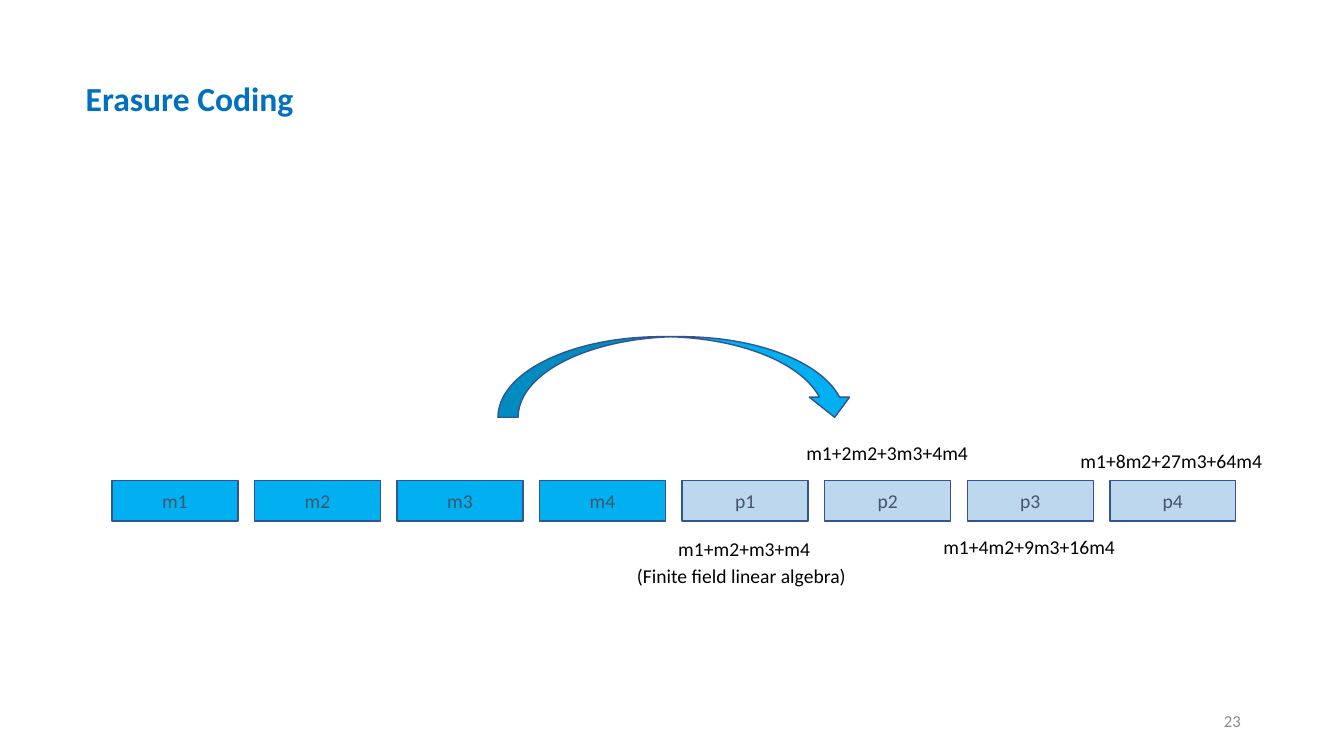
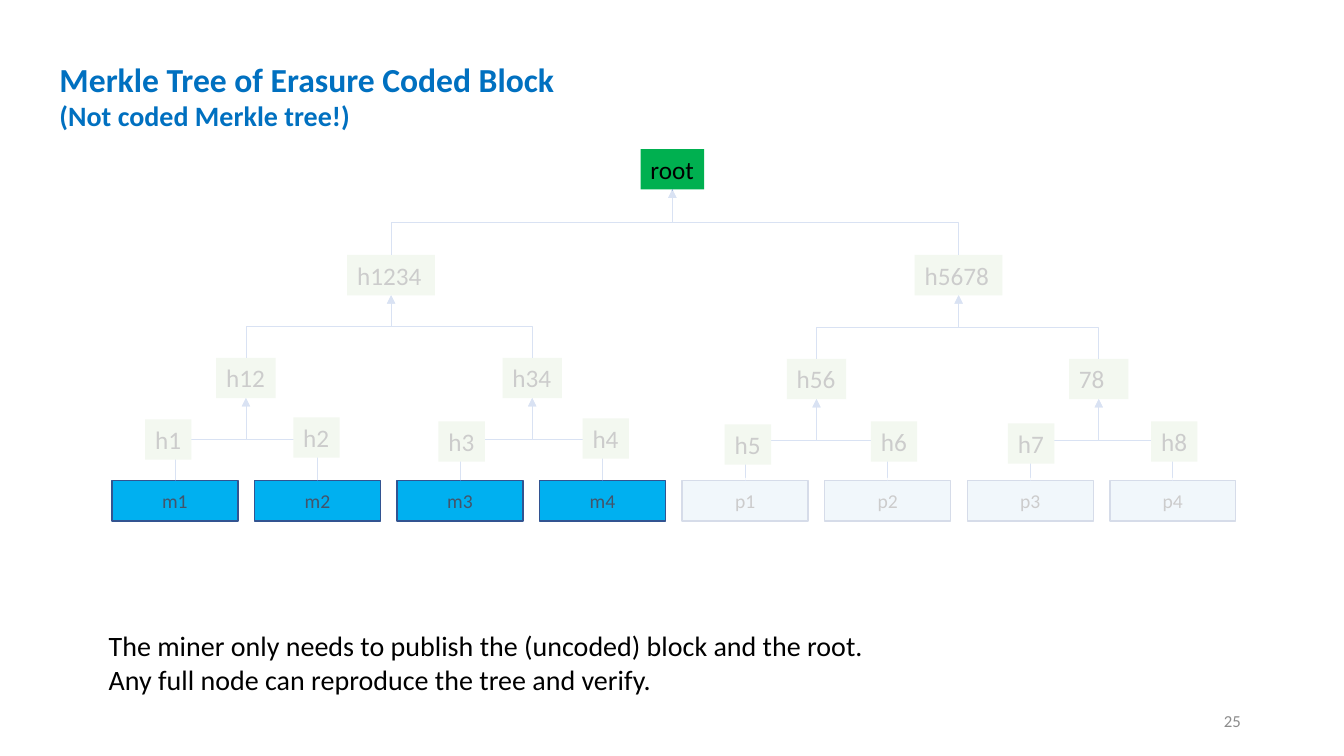
from lxml.etree import SubElement
from pptx import Presentation
from pptx.dml.color import RGBColor
from pptx.enum.shapes import MSO_CONNECTOR, MSO_SHAPE
from pptx.enum.text import MSO_ANCHOR, PP_ALIGN
from pptx.oxml.ns import qn
from pptx.util import Inches, Pt

COLORS = {
    "title": "0070C0", "message": "00B0F0", "parity": "BDD7EE",
    "outline": "325491", "label": "44546A", "text": "000000",
    "hash": "C5E0B4", "root": "00B050", "edge": "4472C4",
    "veil": "FFFFFF", "number": "8C8C8C",
}
FONT = "Calibri"

# Grid of the coded row: eight columns with equal gaps
ROW_LEFT, ROW_TOP, PITCH = 1.11, 4.77, 9.9 / 7
BLOCK_WIDTH, BOX_HEIGHT = 1.25, 0.4
BLOCKS = ["m1", "m2", "m3", "m4", "p1", "p2", "p3", "p4"]


def write(shape, text, size=14, color="text", bold=False, align=PP_ALIGN.LEFT,
          anchor=MSO_ANCHOR.TOP, wrap=False):
    frame = shape.text_frame
    frame.word_wrap = wrap
    frame.vertical_anchor = anchor
    frame.text = text
    for paragraph in frame.paragraphs:
        paragraph.alignment = align
        for run in paragraph.runs:
            run.font.name = FONT
            run.font.size = Pt(size)
            run.font.bold = bold
            run.font.color.rgb = RGBColor.from_string(COLORS[color])


def add_box(slide, left, top, width, height, fill, outline=None, preset=MSO_SHAPE.RECTANGLE):
    box = slide.shapes.add_shape(preset, *map(Inches, (left, top, width, height)))
    box.shadow.inherit = False
    box.fill.solid()
    box.fill.fore_color.rgb = RGBColor.from_string(COLORS[fill])
    if outline:
        box.line.color.rgb = RGBColor.from_string(COLORS[outline])
        box.line.width = Pt(1)
    else:
        box.line.fill.background()
    return box


deck = Presentation()
deck.slide_width, deck.slide_height = Inches(13.333), Inches(7.5)

# Shared parts: title, coded row, page number; parity labels are darker under a veil
pages = [
    ("Erasure Coding", (0.75, 0.72, 2.28, 0.5), "label", "23"),
    ("Merkle Tree of Erasure Coded Block\n(Not coded Merkle tree!)",
     (0.49, 0.53, 5.16, 0.84), "text", "25"),
]
slides = []
for heading, place, parity_label, number in pages:
    slide = deck.slides.add_slide(deck.slide_layouts[5])
    slides.append(slide)
    title = slide.shapes.title
    title.left, title.top, title.width, title.height = map(Inches, place)
    write(title, heading, size=24, color="title", bold=True)
    for column, name in enumerate(BLOCKS):
        is_message = name.startswith("m")
        block = add_box(slide, ROW_LEFT + column * PITCH, ROW_TOP, BLOCK_WIDTH, BOX_HEIGHT,
                        "message" if is_message else "parity", "outline")
        write(block, name, color="label" if is_message else parity_label,
              align=PP_ALIGN.CENTER, anchor=MSO_ANCHOR.MIDDLE)
    page_number = slide.shapes.add_textbox(*map(Inches, (9.41, 6.95, 3, 0.4)))
    write(page_number, number, size=12, color="number", align=PP_ALIGN.RIGHT,
          anchor=MSO_ANCHOR.MIDDLE, wrap=True)
coding, merkle = slides
merkle.shapes.title.text_frame.paragraphs[1].runs[0].font.size = Pt(20)

# Erasure coding: formulas of the parity blocks
formulas = [
    ("m1+m2+m3+m4", 6.63, 5.28, 1.52),
    ("m1+2m2+3m3+4m4", 7.9, 4.33, 1.82),
    ("m1+4m2+9m3+16m4", 9.26, 5.26, 1.92),
    ("m1+8m2+27m3+64m4", 10.62, 4.4, 2.02),
    ("(Finite field linear algebra)", 6.22, 5.55, 2.3),
]
for formula, left, top, width in formulas:
    write(coding.shapes.add_textbox(*map(Inches, (left, top, width, 0.34))), formula)
add_box(coding, 4.94, 3.34, 3.54, 0.8, "message", "outline", MSO_SHAPE.CURVED_DOWN_ARROW)

# Merkle tree: inner nodes as centre, top, width and children
nodes = {
    "h12": (2.44, 3.55, 0.59, ("m1", "m2")),
    "h34": (5.28, 3.55, 0.59, ("m3", "m4")),
    "h56": (8.1, 3.56, 0.59, ("p1", "p2")),
    "78": (10.9, 3.56, 0.59, ("p3", "p4")),
    "h1234": (3.88, 2.53, 0.87, ("h12", "h34")),
    "h5678": (9.51, 2.53, 0.87, ("h56", "78")),
    "root": (6.67, 1.48, 0.63, ("h1234", "h5678")),
}
tops = {name: (ROW_LEFT + column * PITCH + BLOCK_WIDTH / 2, ROW_TOP)
        for column, name in enumerate(BLOCKS)}
for name, (centre, top, width, children) in nodes.items():
    tops[name] = (centre, top)
    node = add_box(merkle, centre - width / 2, top, width, BOX_HEIGHT,
                   "root" if name == "root" else "hash")
    write(node, name, size=18, wrap=True)

    # Elbow edges leave a child upwards, so each is a level elbow turned upright
    for child in children:
        child_x, child_y = tops[child]
        bottom = top + BOX_HEIGHT
        run, rise = abs(centre - child_x), child_y - bottom
        middle_x, middle_y = (centre + child_x) / 2, (bottom + child_y) / 2
        left, right = middle_x - rise / 2, middle_x + rise / 2
        from_left = child_x < centre
        start, end = (right, left) if from_left else (left, right)
        edge = merkle.shapes.add_connector(
            MSO_CONNECTOR.ELBOW, Inches(start), Inches(middle_y + run / 2),
            Inches(end), Inches(middle_y - run / 2))
        edge.line.color.rgb = RGBColor.from_string(COLORS["edge"])
        edge.line.width = Pt(0.5)
        properties = edge._element.spPr
        properties.find(qn("a:xfrm")).set("rot", "5400000" if from_left else "16200000")
        SubElement(properties.find(qn("a:ln")), qn("a:tailEnd"), type="triangle")
        SubElement(properties, qn("a:effectLst"))

# Leaf hashes, centre and top
leaves = [(1.67, 4.16), (3.14, 4.14), (4.58, 4.18), (6.01, 4.15),
          (7.42, 4.21), (8.87, 4.18), (10.23, 4.2), (11.65, 4.18)]
for index, (centre, top) in enumerate(leaves, start=1):
    leaf = add_box(merkle, centre - 0.23, top, 0.46, BOX_HEIGHT, "hash")
    write(leaf, f"h{index}", size=18)

# Veils fade everything that is not published
for place in [(6.71, 4.74, 5.69, 0.51), (0.99, 1.89, 11.16, 2.87)]:
    veil = add_box(merkle, *place, "veil")
    veil_color = veil._element.spPr.find(qn("a:solidFill"))[0]
    SubElement(veil_color, qn("a:alpha"), val="80000")

conclusion = merkle.shapes.add_textbox(*map(Inches, (0.98, 6.19, 8, 0.77)))
write(conclusion, "The miner only needs to publish the (uncoded) block and the root.\n"
      "Any full node can reproduce the tree and verify.", size=20, wrap=True)

deck.save("out.pptx")
